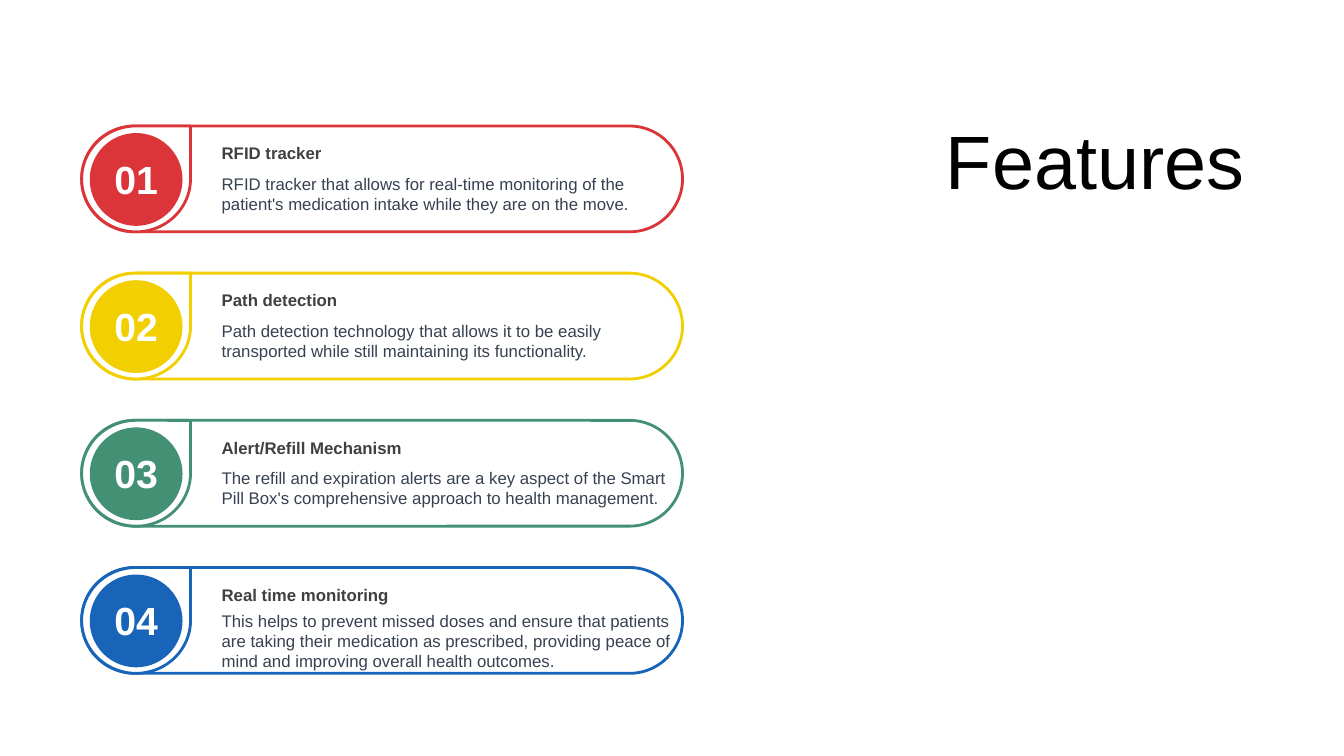
import pptx
import pptx.dml.color
import pptx.enum.shapes
import pptx.enum.text
import pptx.util
from dataclasses import dataclass

Inches = pptx.util.Inches
Pt = pptx.util.Pt
Color = pptx.dml.color.RGBColor.from_string
Shape = pptx.enum.shapes.MSO_SHAPE
Align = pptx.enum.text.PP_ALIGN


@dataclass(frozen=True)
class Theme:
    font: str = "Arial"
    white: str = "FFFFFF"
    title: str = "000000"
    heading: str = "404040"
    body: str = "374151"
    accents: tuple = ("DC3539", "F1CF01", "449074", "1764B9")
    title_size: int = 54
    number_size: int = 28
    text_size: int = 12
    outline: int = 2


theme = Theme()


def add_shape(shapes, kind, left, top, width, height, fill, line=None):
    shape = shapes.add_shape(kind, Inches(left), Inches(top), Inches(width), Inches(height))
    shape.shadow.inherit = False
    shape.fill.solid()
    shape.fill.fore_color.rgb = Color(fill)
    if line:
        shape.line.color.rgb = Color(line)
        shape.line.width = Pt(theme.outline)
    else:
        shape.line.fill.background()
    return shape


def add_text(shapes, text, left, top, width, height, size, color, bold=False, align=Align.LEFT):
    box = shapes.add_textbox(Inches(left), Inches(top), Inches(width), Inches(height))
    box.text_frame.word_wrap = True
    box.text_frame.auto_size = pptx.enum.text.MSO_AUTO_SIZE.SHAPE_TO_FIT_TEXT
    para = box.text_frame.paragraphs[0]
    para.text = text
    para.alignment = align
    para.font.name = theme.font
    para.font.size = Pt(size)
    para.font.bold = bold
    para.font.color.rgb = Color(color)
    return box


deck = pptx.Presentation()
deck.slide_width = Inches(13.33)
deck.slide_height = Inches(7.5)
page = deck.slides.add_slide(deck.slide_layouts[6])

title = add_text(page.shapes, "Features", 7.76, 1.07, 4.68, 1.01,
                 theme.title_size, theme.title, align=Align.RIGHT)
title.text_frame.vertical_anchor = pptx.enum.text.MSO_ANCHOR.MIDDLE

# Heading, description, description offset from the card top, description height
features = [
    ("RFID tracker",
     "RFID tracker that allows for real-time monitoring of the patient's "
     "medication intake while they are on the move.", 0.42, 0.5),
    ("Path detection",
     "Path detection technology that allows it to be easily transported "
     "while still maintaining its functionality.", 0.42, 0.5),
    ("Alert/Refill Mechanism",
     "The refill and expiration alerts are a key aspect of the Smart Pill Box's "
     "comprehensive approach to health management.", 0.42, 0.5),
    ("Real time monitoring",
     "This helps to prevent missed doses and ensure that patients are taking "
     "their medication as prescribed, providing peace of mind and improving "
     "overall health outcomes.", 0.38, 0.71),
]
first_top, card_step = 1.25, 1.46
card_left, card_height = 0.81, 1.05
text_left, text_width = 2.1, 4.68

for index, (heading, description, offset, height) in enumerate(features):
    top = first_top + index * card_step
    accent = theme.accents[index]
    card = page.shapes.add_group_shape().shapes

    pill = add_shape(card, Shape.ROUNDED_RECTANGLE, card_left, top, 5.96, card_height,
                     theme.white, accent)
    pill.adjustments[0] = 0.5
    add_shape(card, Shape.TEAR, card_left, top, 1.08, card_height, theme.white, accent)
    add_shape(card, Shape.OVAL, 0.89, top + 0.07, 0.92, 0.92, accent)
    add_text(card, f"{index + 1:02}", 0.96, top + 0.24, 0.78, 0.57,
             theme.number_size, theme.white, bold=True, align=Align.CENTER)
    add_text(card, heading, text_left, top + 0.12, text_width, 0.3,
             theme.text_size, theme.heading, bold=True)
    add_text(card, description, text_left, top + offset, text_width, height,
             theme.text_size, theme.body)

deck.save("out.pptx")
